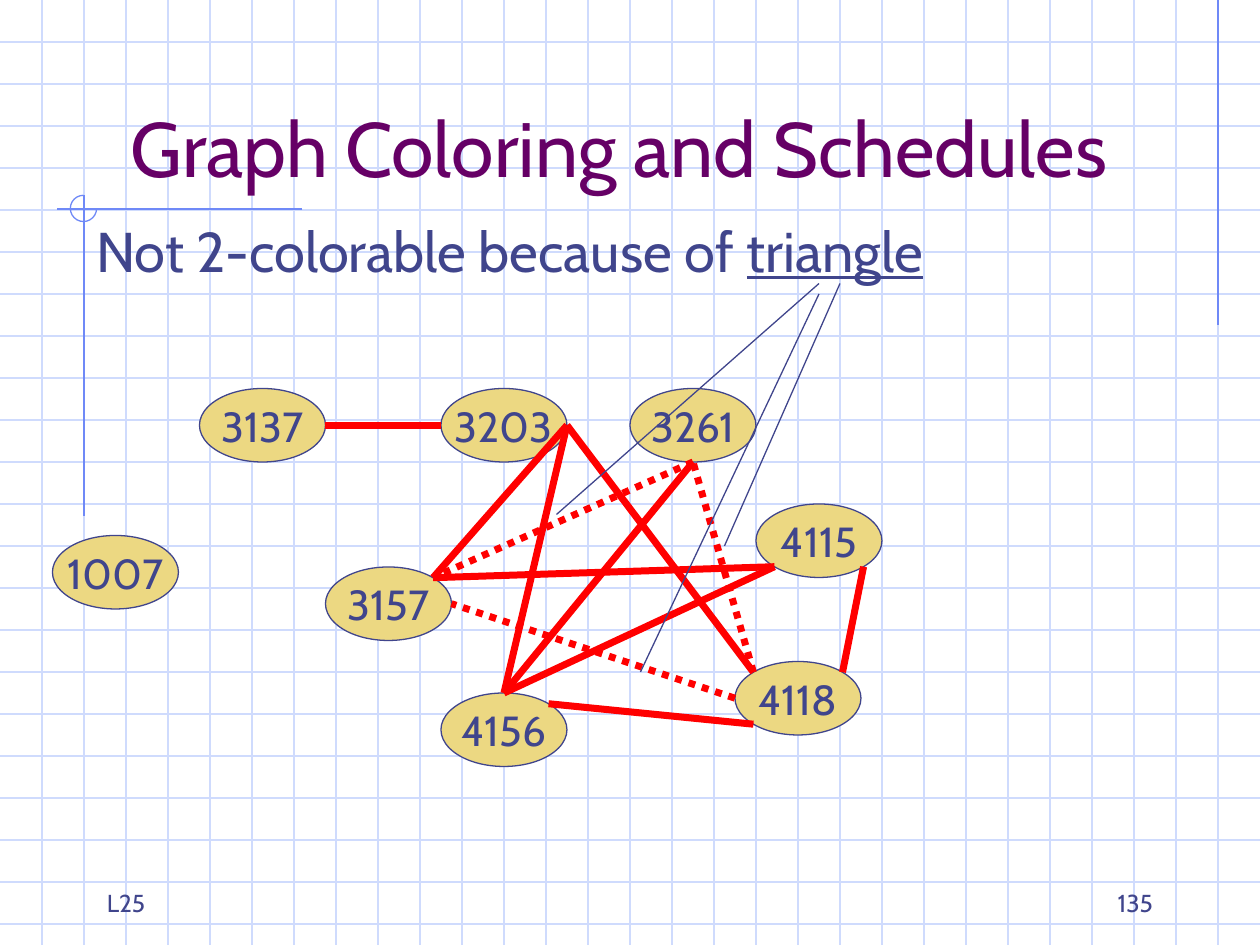
from typing import NamedTuple, Optional

from lxml import etree
from pptx import Presentation
from pptx import util as u
from pptx.dml.color import RGBColor
from pptx.enum import dml, shapes, text
from pptx.oxml import ns

GRID_BLUE = RGBColor(0xCF, 0xDB, 0xFD)
ACCENT_BLUE = RGBColor(0x6F, 0x89, 0xF7)
INK = RGBColor(0x40, 0x45, 0x8C)
PLUM = RGBColor(0x66, 0x00, 0x66)
SAND = RGBColor(0xEC, 0xD8, 0x82)
RED = RGBColor(0xFF, 0x00, 0x00)
FONT = "Cabin"

# All positions are counted in quarters of a grid cell (12 to the inch).
SLIDE_WIDTH, SLIDE_HEIGHT = 120, 90
CELL = 4
NODE_WIDTH, NODE_HEIGHT = 12, 7
DIAGONAL = 0.5 ** 0.5 / 2  # reach of a 45 degree point on a unit-wide ellipse


class Point(NamedTuple):
    x: float
    y: float


class Label(NamedTuple):
    words: tuple[str, ...]
    corner: Point
    width: float
    height: float
    size: int
    color: RGBColor = INK
    align: text.PP_ALIGN = text.PP_ALIGN.LEFT
    anchor: text.MSO_ANCHOR = text.MSO_ANCHOR.BOTTOM


class Edge(NamedTuple):
    course_a: str
    site_a: str
    course_b: str
    site_b: str
    in_triangle: bool = False


LABELS = [
    Label(("L25",), Point(9, 82), 25, 6, 14),
    Label(("135",), Point(86, 82), 25, 6, 14, align=text.PP_ALIGN.RIGHT),
    Label(("Graph Coloring and Schedules",), Point(8, 4), 102, 15, 44, PLUM,
          text.PP_ALIGN.CENTER),
    Label(("Not 2-colorable because of ", "triangle"), Point(8, 20), 107, 64, 32,
          anchor=text.MSO_ANCHOR.TOP),
]

COURSES = {
    "1007": Point(5, 51),
    "3137": Point(19, 37),
    "3157": Point(31, 54),
    "3203": Point(42, 37),
    "4115": Point(72, 48),
    "3261": Point(60, 37),
    "4156": Point(42, 66),
    "4118": Point(70, 63),
}

SITES = {
    "top": Point(0, -0.5),
    "bottom": Point(0, 0.5),
    "left": Point(-0.5, 0),
    "right": Point(0.5, 0),
    "top left": Point(-DIAGONAL, -DIAGONAL),
    "top right": Point(DIAGONAL, -DIAGONAL),
    "bottom left": Point(-DIAGONAL, DIAGONAL),
    "bottom right": Point(DIAGONAL, DIAGONAL),
}

EDGES = [
    Edge("3137", "right", "3203", "left"),
    Edge("3157", "top right", "3203", "right"),
    Edge("4156", "top", "3203", "right"),
    Edge("4118", "left", "3157", "right", True),
    Edge("4115", "bottom left", "3157", "top right"),
    Edge("3261", "bottom", "3157", "top right", True),
    Edge("4118", "bottom left", "4156", "top right"),
    Edge("4118", "top left", "3261", "bottom", True),
    Edge("4118", "top left", "3203", "right"),
    Edge("4118", "top right", "4115", "bottom right"),
    Edge("3261", "bottom", "4156", "top"),
    Edge("4156", "top", "4115", "bottom left"),
]

TRIANGLE_POINTERS = [
    (Point(53, 49), Point(78, 27)),
    (Point(61, 64), Point(78, 28)),
    (Point(69, 52), Point(80, 27)),
]

MARGIN_RULES = [
    (Point(116, 0), Point(116, 31)),
    (Point(28.8, 19.9), Point(5.4, 19.9)),
    (Point(8, 18.6), Point(8, 49.1)),
]


def quarters(count: float) -> u.Length:
    """Length of a number of quarter cells."""
    return u.Cm(count * 2.54 / 12)


def draw_line(slide, start: Point, end: Point, color: RGBColor, width: float = 0.75,
              dash: Optional[dml.MSO_LINE] = None) -> None:
    connector = slide.shapes.add_connector(
        shapes.MSO_CONNECTOR.STRAIGHT, *map(quarters, (*start, *end)))
    connector.line.color.rgb = color
    connector.line.width = u.Pt(width)
    if dash is not None:
        connector.line.dash_style = dash
    etree.SubElement(connector._element.spPr, ns.qn("a:effectLst"))


def style_font(font, size: int, color: RGBColor) -> None:
    font.name = FONT
    font.size = u.Pt(size)
    font.color.rgb = color


def draw_background(slide) -> None:
    for y in range(CELL, SLIDE_HEIGHT, CELL):
        draw_line(slide, Point(0, y), Point(SLIDE_WIDTH, y), GRID_BLUE)
    for x in range(CELL, SLIDE_WIDTH, CELL):
        draw_line(slide, Point(x, 0), Point(x, SLIDE_HEIGHT), GRID_BLUE)
    for start, end in MARGIN_RULES:
        draw_line(slide, start, end, ACCENT_BLUE)
    ring = slide.shapes.add_shape(
        shapes.MSO_SHAPE.ARC, *map(quarters, (6.7, 18.6, 2.5, 2.5)))
    ring.adjustments[0] = 0.0
    ring.adjustments[1] = 162.0  # 270 degrees
    ring.shadow.inherit = False
    ring.fill.background()
    ring.line.color.rgb = ACCENT_BLUE
    ring.line.width = u.Pt(0.75)


def draw_label(slide, label: Label) -> None:
    """Text box whose second run, if any, is underlined."""
    box = slide.shapes.add_textbox(
        *map(quarters, (*label.corner, label.width, label.height)))
    frame = box.text_frame
    frame.word_wrap = True
    frame.vertical_anchor = label.anchor
    paragraph = frame.paragraphs[0]
    paragraph.alignment = label.align
    for index, words in enumerate(label.words):
        run = paragraph.add_run()
        run.text = words
        style_font(run.font, label.size, label.color)
        if index:
            run.font.underline = True


def draw_course(slide, number: str, corner: Point) -> None:
    node = slide.shapes.add_shape(
        shapes.MSO_SHAPE.OVAL, *map(quarters, (*corner, NODE_WIDTH, NODE_HEIGHT)))
    node.shadow.inherit = False
    node.fill.solid()
    node.fill.fore_color.rgb = SAND
    node.line.color.rgb = INK
    node.line.width = u.Pt(0.75)
    frame = node.text_frame
    frame.text = number
    frame.word_wrap = False
    frame.vertical_anchor = text.MSO_ANCHOR.MIDDLE
    frame.paragraphs[0].alignment = text.PP_ALIGN.CENTER
    style_font(frame.paragraphs[0].runs[0].font, 24, INK)


def site_point(course: str, site: str) -> Point:
    """Place on the rim of a course's ellipse."""
    corner, offset = COURSES[course], SITES[site]
    return Point(corner.x + (0.5 + offset.x) * NODE_WIDTH,
                 corner.y + (0.5 + offset.y) * NODE_HEIGHT)


def main() -> None:
    deck = Presentation()
    deck.slide_width, deck.slide_height = quarters(SLIDE_WIDTH), quarters(SLIDE_HEIGHT)
    slide = deck.slides.add_slide(deck.slide_layouts[6])
    draw_background(slide)
    for label in LABELS:
        draw_label(slide, label)
    for number, corner in COURSES.items():
        draw_course(slide, number, corner)
    for edge in EDGES:
        draw_line(slide, site_point(edge.course_a, edge.site_a),
                  site_point(edge.course_b, edge.site_b), RED, 4,
                  dml.MSO_LINE.ROUND_DOT if edge.in_triangle else None)
    for start, end in TRIANGLE_POINTERS:
        draw_line(slide, start, end, INK)
    deck.save("out.pptx")


if __name__ == "__main__":
    main()
